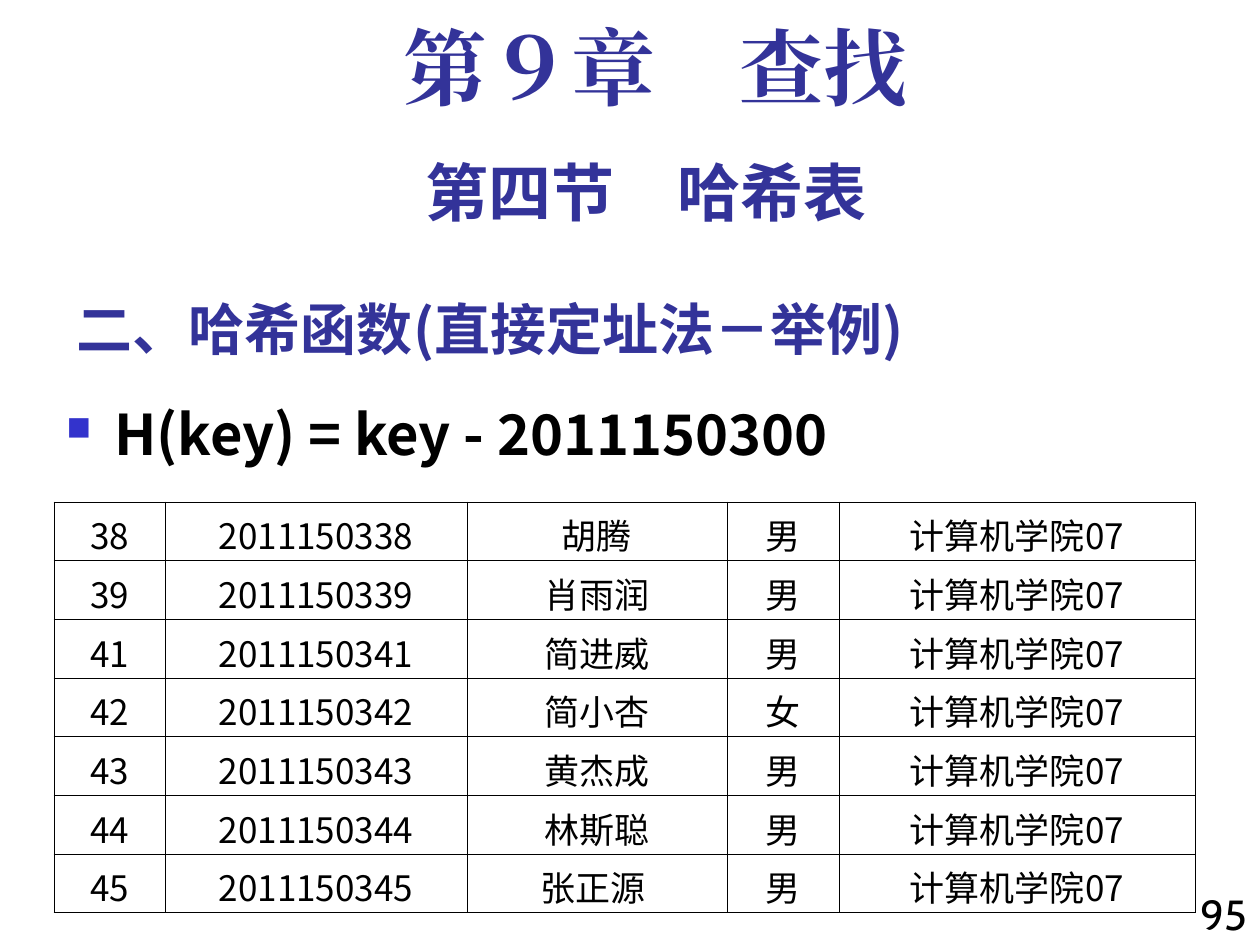
from lxml import etree
from pptx import Presentation
from pptx.dml.color import RGBColor
from pptx.enum.text import MSO_ANCHOR, MSO_AUTO_SIZE, PP_ALIGN
from pptx.oxml.ns import qn
from pptx.util import Pt

PX = 914400 / 126
NAVY = RGBColor(0x33, 0x33, 0x99)
BLUE = RGBColor(0x33, 0x33, 0xCC)
BLACK = RGBColor(0, 0, 0)
SANS = "Noto Sans CJK SC"
LEFT, CENTER, RIGHT = PP_ALIGN.LEFT, PP_ALIGN.CENTER, PP_ALIGN.RIGHT
MIDDLE, BOTTOM = MSO_ANCHOR.MIDDLE, MSO_ANCHOR.BOTTOM


def px(*lengths):
    """Turn pixel lengths into EMU."""
    return [round(length * PX) for length in lengths]


def write(frame, text, size, font=SANS, color=BLACK, bold=False, align=LEFT):
    frame.word_wrap = True
    paragraph = frame.paragraphs[0]
    paragraph.alignment = align
    run = paragraph.add_run()
    run.text = text
    run.font.size = Pt(size)
    run.font.name = font
    run.font.bold = bold
    run.font.color.rgb = color
    east_asian = etree.SubElement(run.font._element, qn("a:ea"))
    east_asian.set("typeface", font)
    run.font._element.find(qn("a:latin")).addnext(east_asian)
    return paragraph


presentation = Presentation()
presentation.slide_width, presentation.slide_height = px(1260, 945)
slide = presentation.slides.add_slide(presentation.slide_layouts[5])

# Section title
title = slide.shapes.title
title.left, title.top, title.width, title.height = px(64, 273, 1085, 95)
title.text_frame.auto_size = MSO_AUTO_SIZE.NONE
title.text_frame.vertical_anchor = BOTTOM
write(title.text_frame, "二、哈希函数(直接定址法－举例)", 32, color=NAVY, bold=True)

# Hash function bullet
formula = slide.shapes.add_textbox(*px(54, 393, 1182, 471))
paragraph = write(formula.text_frame, "H(key) = key - 2011150300", 32, bold=True)
properties = paragraph._p.get_or_add_pPr()
indent = px(48)[0]
properties.set("marL", str(indent))
properties.set("indent", str(-indent))
bullet_color = etree.SubElement(properties, qn("a:buClr"))
etree.SubElement(bullet_color, qn("a:srgbClr"), val=str(BLUE))
etree.SubElement(properties, qn("a:buSzPct"), val="60000")
etree.SubElement(properties, qn("a:buChar"), char="■")

# Chapter and section headings, page number
for box, text, size, font, color, bold, align in (
    ((63, 147, 1166, 88), "第四节　哈希表", 36, "Cabin", NAVY, True, CENTER),
    ((84, 21, 1144, 105), "第９章　查找", 48, "Times New Roman", NAVY, True, CENTER),
    ((1155, 882, 105, 74), "95", 24, "Cabin", BLACK, False, RIGHT),
):
    textbox = slide.shapes.add_textbox(*px(*box))
    paragraph = write(textbox.text_frame, text, size, font, color, bold, align)
    if size == 48:
        paragraph.line_spacing = 0.9

# Student table
students = [
    (38, "胡腾", "男"),
    (39, "肖雨润", "男"),
    (41, "简进威", "男"),
    (42, "简小杏", "女"),
    (43, "黄杰成", "男"),
    (44, "林斯聪", "男"),
    (45, "张正源 ", "男"),
]
column_widths = px(111, 302, 260, 112, 356)
table_height = 411
frame = slide.shapes.add_table(len(students), len(column_widths),
                               *px(54, 502, 1141, table_height))
table = frame.table
table.first_row = table.horz_banding = False
for column, width in zip(table.columns, column_widths):
    column.width = width
for row, (number, name, gender) in zip(table.rows, students):
    row.height = px(table_height / len(students))[0]
    values = (str(number), str(2011150300 + number), name, gender, "计算机学院07")
    for cell, value in zip(row.cells, values):
        cell.vertical_anchor = MIDDLE
        cell.margin_bottom = 0
        write(cell.text_frame, value, 20, align=CENTER)
        cell_properties = cell._tc.get_or_add_tcPr()
        for side in ("a:lnL", "a:lnR", "a:lnT", "a:lnB"):
            border = etree.SubElement(cell_properties, qn(side), w=str(Pt(0.45)))
            fill = etree.SubElement(border, qn("a:solidFill"))
            etree.SubElement(fill, qn("a:srgbClr"), val=str(BLACK))
        cell.fill.background()

presentation.save("out.pptx")
